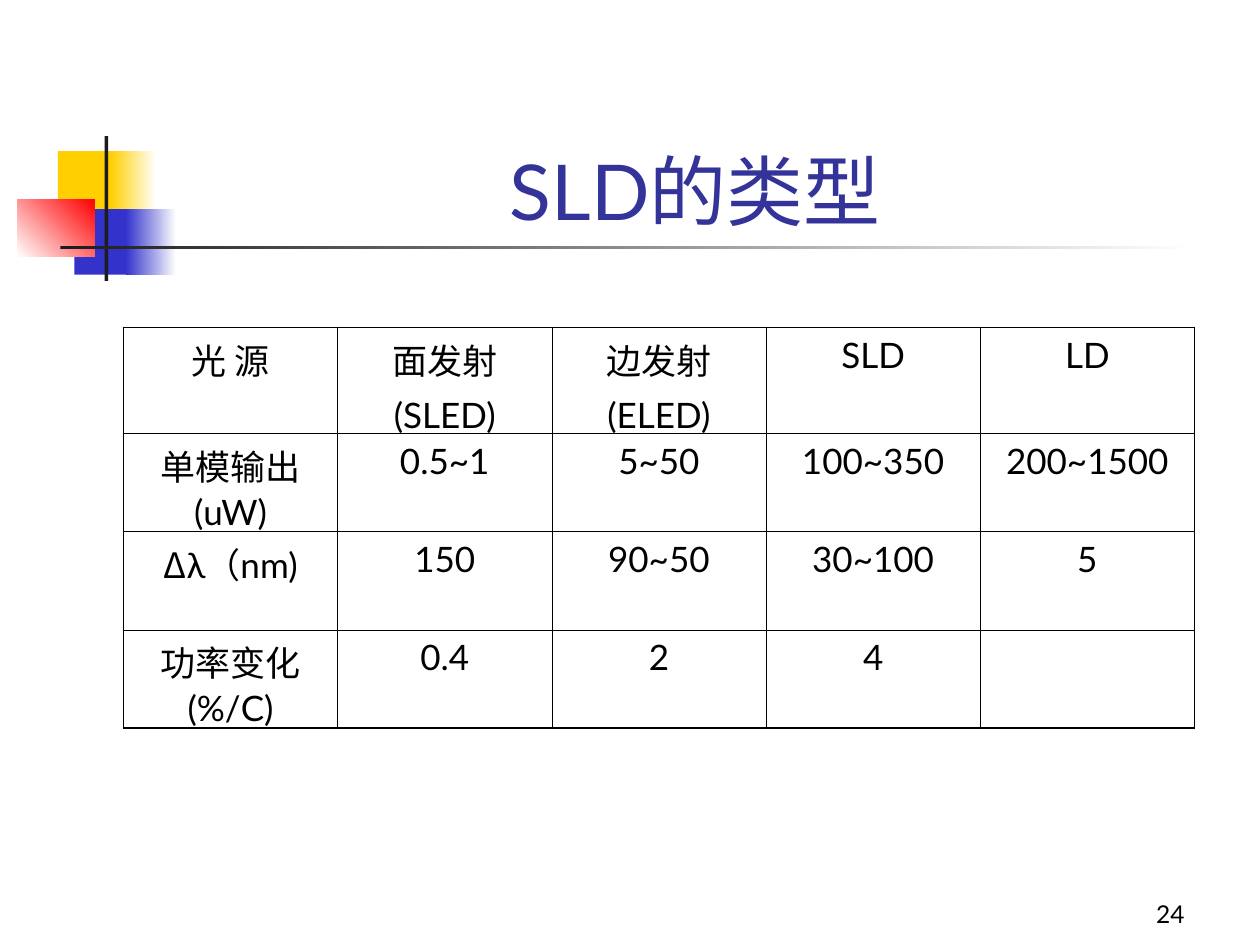
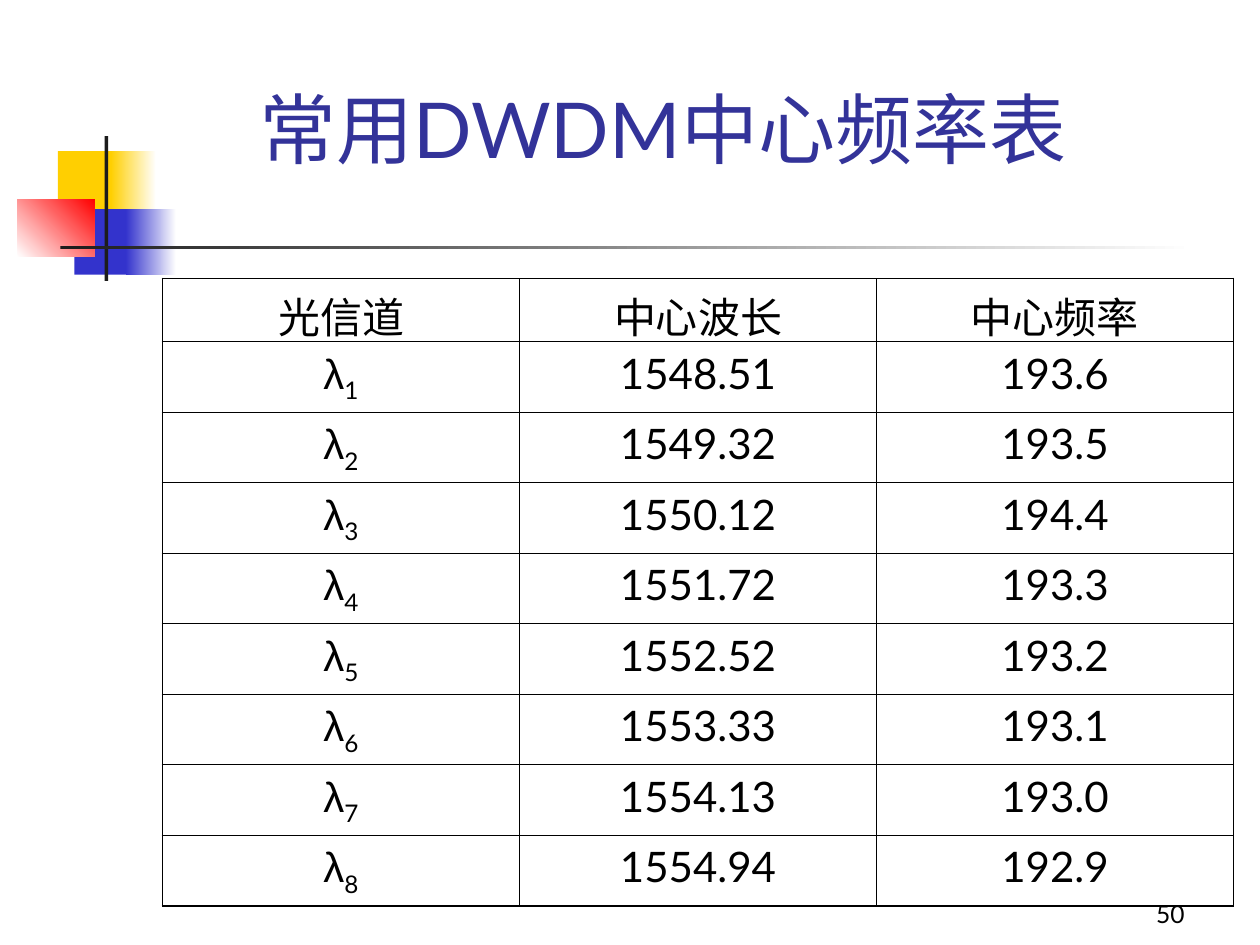
from lxml import etree
from pptx import Presentation
from pptx.dml.color import RGBColor
from pptx.enum.shapes import MSO_SHAPE
from pptx.enum.text import MSO_ANCHOR, PP_ALIGN
from pptx.oxml.ns import qn
from pptx.util import Inches, Pt

RECTANGLE = MSO_SHAPE.RECTANGLE
BOTTOM = MSO_ANCHOR.BOTTOM
CENTER, RIGHT = PP_ALIGN.CENTER, PP_ALIGN.RIGHT

THEME = {
    "yellow": "FFCF01", "blue": "3333CC", "red": "FF0000", "dark": "1C1C1C",
    "white": "FFFFFF", "title": "333399", "text": "000000",
    "font": "Lato", "greek_font": "Arial", "cjk_font": "Noto Sans CJK SC",
    "title_size": 44, "number_size": 14,
    "outer_line": 1.08, "inner_line": 0.45,
}

# left, top, width, height, colours (two make a gradient), gradient angle
DECORATION = [
    (0.46, 1.2, 0.48, 0.52, ["yellow"], 0),
    (0.88, 1.2, 0.36, 0.52, ["yellow", "white"], 0),
    (0.59, 1.66, 0.46, 0.52, ["blue"], 0),
    (1, 1.66, 0.4, 0.52, ["blue", "white"], 0),
    (0.14, 1.58, 0.61, 0.46, ["white", "red"], 45),
    (0.83, 1.08, 0.03, 1.15, ["dark"], 0),
    (0.48, 1.95, 9, 0.03, ["dark", "white"], 0),
]

delta_lambda = [("Δ", THEME["cjk_font"], 0), ("λ（nm)", THEME["font"], 0)]
source_rows = [
    ["光 源", "面发射\n(SLED)", "边发射\n(ELED)", "SLD", "LD"],
    ["单模输出(uW)", "0.5~1", "5~50", "100~350", "200~1500"],
    [delta_lambda, "150", "90~50", "30~100", "5"],
    ["功率变化(%/C)", "0.4", "2", "4", ""],
]

wavelengths = ["1548.51", "1549.32", "1550.12", "1551.72",
               "1552.52", "1553.33", "1554.13", "1554.94"]
frequencies = ["193.6", "193.5", "194.4", "193.3",
               "193.2", "193.1", "193.0", "192.9"]
channel_rows = [["光信道", "中心波长", "中心频率"]]
for number, (wavelength, frequency) in enumerate(zip(wavelengths, frequencies), 1):
    channel = [("λ", THEME["greek_font"], 0), (str(number), THEME["font"], -25)]
    channel_rows.append([channel, wavelength, frequency])

SLIDES = [
    {"title": "SLD的类型", "title_box": (1.26, 0.67, 8.52, 1.25), "number": "24",
     "rows": source_rows, "table_at": (0.98, 2.6), "heights": [0.84] + [0.78] * 3,
     "size": 20, "space": 5, "thin_tops": []},
    {"title": "常用DWDM中心频率表", "title_box": (1, 0.67, 8.52, 0.76), "number": "50",
     "rows": channel_rows, "table_at": (1.29, 2.21), "heights": [0.5] + [0.56] * 8,
     "size": 24, "space": 6, "thin_tops": [1]},
]
TABLE_WIDTH = 8.5
NUMBER_BOX = (7.42, 6.92, 2.08, 0.5)


def write(frame, content, size, color="text", align=CENTER, space=0):
    """Fill a frame with lines of text, or with one line of (text, font, baseline) runs."""
    if isinstance(content, str):
        lines = [[(line, THEME["font"], 0)] for line in content.split("\n")]
    else:
        lines = [content]
    for index, line in enumerate(lines):
        paragraph = frame.add_paragraph() if index else frame.paragraphs[0]
        paragraph.alignment = align
        if index:
            paragraph.space_before = Pt(space)
        for text, font_name, baseline in line:
            run = paragraph.add_run()
            run.text = text
            for name, value in {"name": font_name, "size": Pt(size)}.items():
                setattr(run.font, name, value)
            run.font.color.rgb = RGBColor.from_string(THEME[color])
            properties = run._r.get_or_add_rPr()
            east_asian = etree.Element(qn("a:ea"), typeface=THEME["cjk_font"])
            properties.find(qn("a:latin")).addnext(east_asian)
            if baseline:
                properties.set("baseline", str(baseline * 1000))


def draw_borders(cell, widths):
    """Give a cell its left, right, top and bottom lines, in points."""
    properties = cell._tc.get_or_add_tcPr()
    for position, (side, width) in enumerate(zip(("lnL", "lnR", "lnT", "lnB"), widths)):
        line = etree.Element(qn("a:" + side), w=str(Pt(width)))
        fill = etree.SubElement(line, qn("a:solidFill"))
        etree.SubElement(fill, qn("a:srgbClr"), val=THEME["text"])
        properties.insert(position, line)


deck = Presentation()
deck.slide_width, deck.slide_height = Inches(10), Inches(7.5)

for page in SLIDES:
    slide = deck.slides.add_slide(deck.slide_layouts[6])

    for *box, colors, angle in DECORATION:
        block = slide.shapes.add_shape(RECTANGLE, *map(Inches, box))
        block.shadow.inherit = False
        block.line.fill.background()
        shades = [RGBColor.from_string(THEME[color]) for color in colors]
        if len(shades) == 1:
            block.fill.solid()
            block.fill.fore_color.rgb = shades[0]
        else:
            block.fill.gradient()
            block.fill.gradient_angle = angle
            for stop, shade in zip(block.fill.gradient_stops, shades):
                stop.color.rgb = shade

    for box, content, size, color, align in [
        (NUMBER_BOX, page["number"], THEME["number_size"], "text", RIGHT),
        (page["title_box"], page["title"], THEME["title_size"], "title", CENTER),
    ]:
        frame = slide.shapes.add_textbox(*map(Inches, box)).text_frame
        for name, value in {"word_wrap": True, "vertical_anchor": BOTTOM}.items():
            setattr(frame, name, value)
        write(frame, content, size, color, align)

    rows = page["rows"]
    last_row, last_column = len(rows) - 1, len(rows[0]) - 1
    table = slide.shapes.add_table(
        len(rows), len(rows[0]), *map(Inches, page["table_at"]),
        Inches(TABLE_WIDTH), Inches(sum(page["heights"]))).table
    for name, value in {"first_row": False, "horz_banding": False}.items():
        setattr(table, name, value)
    for column in table.columns:
        column.width = Inches(TABLE_WIDTH / len(rows[0]))
    for row, height in zip(table.rows, page["heights"]):
        row.height = Inches(height)

    for r, row_content in enumerate(rows):
        for c, content in enumerate(row_content):
            cell = table.cell(r, c)
            cell.fill.background()
            if content:
                write(cell.text_frame, content, page["size"], space=page["space"])
            outer_sides = (c == 0, c == last_column,
                           r == 0 and c not in page["thin_tops"], r == last_row)
            draw_borders(cell, [THEME["outer_line" if outer else "inner_line"]
                                for outer in outer_sides])

deck.save("out.pptx")
